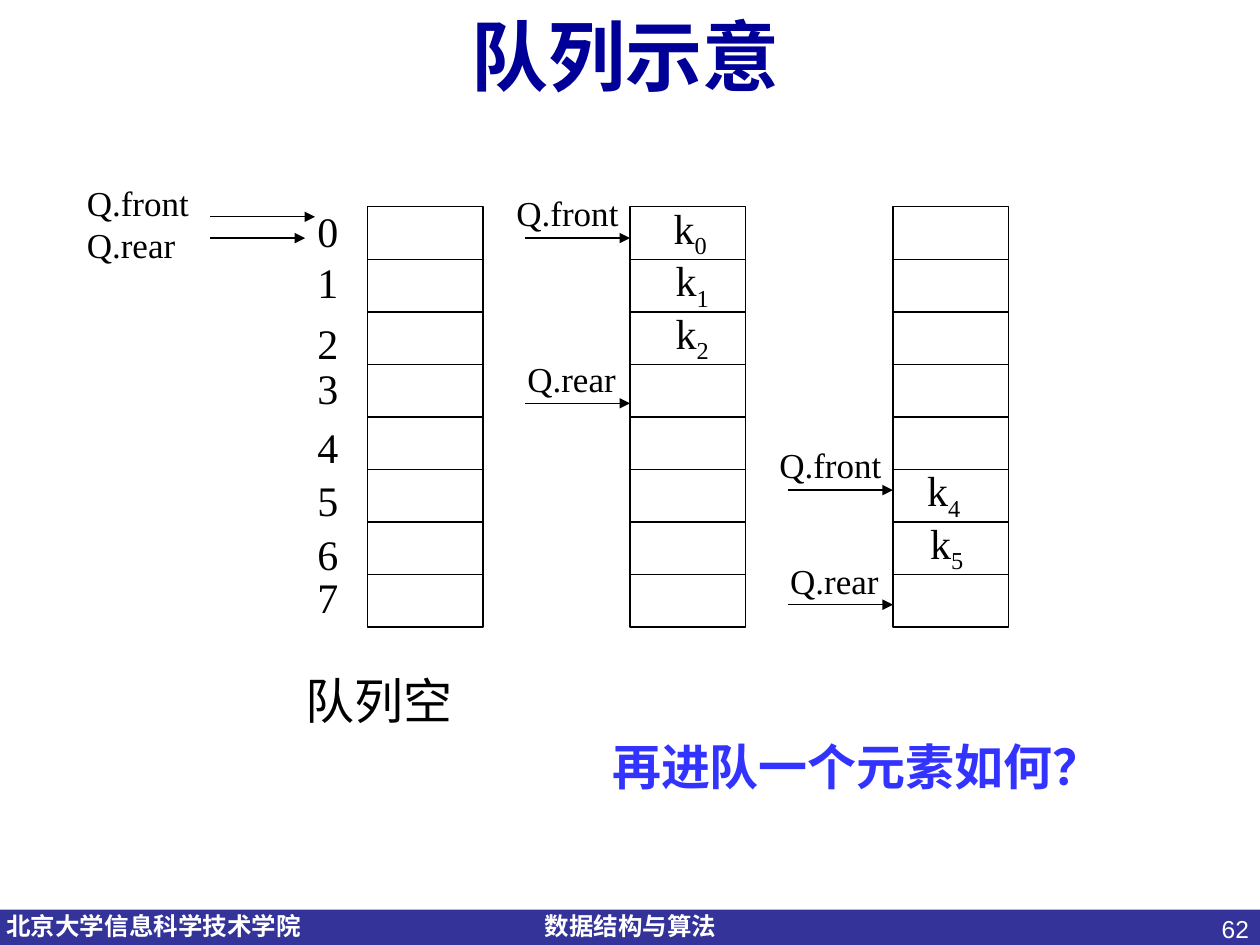
from lxml import etree
from pptx import Presentation
from pptx.dml.color import RGBColor
from pptx.enum import shapes, text
from pptx.oxml import ns
from pptx.util import Cm, Pt

BLACK = RGBColor(0x00, 0x00, 0x00)
WHITE = RGBColor(0xFF, 0xFF, 0xFF)
NAVY = RGBColor(0x00, 0x00, 0x99)
BLUE = RGBColor(0x33, 0x33, 0xFF)
INDIGO = RGBColor(0x33, 0x33, 0x99)

SERIF = "Times New Roman"
SANS = "Arial"
CJK = "Noto Sans CJK SC"

ROWS = 8
QUEUE_LEFTS = (7.41, 12.7, 18)
QUEUE_TOP, QUEUE_WIDTH, QUEUE_HEIGHT = 4.17, 2.33, 8.47
ROW_HEIGHT = QUEUE_HEIGHT / ROWS
INDEX_TOPS = (4.01, 5.05, 6.27, 7.19, 8.38, 9.45, 10.52, 11.4)
LABEL_OFFSETS = {"Q.front": (2.54, 1.07, 2.57), "Q.rear": (2.32, 1.04, 2.29)}


def add_run(paragraph, words, size, color=BLACK, font=SERIF, bold=False):
    run = paragraph.add_run()
    run.text = words
    run.font.size = Pt(size)
    run.font.name = font
    run.font.bold = bold
    run.font.color.rgb = color
    east_asian = etree.SubElement(run.font._element, ns.qn("a:ea"))
    east_asian.set("typeface", CJK)
    return run


def add_label(slide, left, top, width, height, lines, size, wrap=False, **style):
    label = slide.shapes.add_textbox(Cm(left), Cm(top), Cm(width), Cm(height))
    frame = label.text_frame
    frame.word_wrap = wrap
    frame.auto_size = text.MSO_AUTO_SIZE.SHAPE_TO_FIT_TEXT
    for number, words in enumerate(lines):
        paragraph = frame.add_paragraph() if number else frame.paragraphs[0]
        add_run(paragraph, words, size, **style)
    return frame


def add_element(slide, left, top, index):
    frame = add_label(slide, left, top, 1.17, 1.42, ["k"], 24)
    subscript = add_run(frame.paragraphs[0], index, 24)
    subscript.font._element.set("baseline", "-25000")


def add_line(slide, start, end, arrow=False):
    line = slide.shapes.add_connector(
        shapes.MSO_CONNECTOR.STRAIGHT, *(Cm(value) for value in (*start, *end)))
    line.line.color.rgb = BLACK
    line.line.width = Pt(0.75)
    if arrow:
        head = etree.SubElement(line.line._get_or_add_ln(), ns.qn("a:tailEnd"))
        head.set("type", "triangle")
    etree.SubElement(line._element.spPr, ns.qn("a:effectLst"))
    return line


def add_rectangle(slide, left, top, width, height):
    rectangle = slide.shapes.add_shape(
        shapes.MSO_SHAPE.RECTANGLE, Cm(left), Cm(top), Cm(width), Cm(height))
    rectangle.shadow.inherit = False
    return rectangle


def add_queue(slide, left):
    outline = add_rectangle(slide, left, QUEUE_TOP, QUEUE_WIDTH, QUEUE_HEIGHT)
    outline.fill.background()
    outline.line.color.rgb = BLACK
    outline.line.width = Pt(0.75)
    for row in range(1, ROWS):
        y = QUEUE_TOP + row * ROW_HEIGHT
        divider = add_line(slide, (left, y), (left + QUEUE_WIDTH, y))
        if row == ROWS // 2:
            divider.begin_connect(outline, 1)
            divider.end_connect(outline, 3)


def add_pointer(slide, name, queue_left, y):
    across, above, width = LABEL_OFFSETS[name]
    add_label(slide, queue_left - across, y - above, width, 1.11, [name], 20)
    add_line(slide, (queue_left - 2.11, y), (queue_left, y), arrow=True)


def add_footer(slide):
    band = add_rectangle(slide, 0, 18.34, 25.4, 0.71)
    band.fill.solid()
    band.fill.fore_color.rgb = INDIGO
    band.line.fill.background()
    for left, width, words in ((0.13, 6.25, "北京大学信息科学技术学院"),
                               (10.98, 3.8, "数据结构与算法")):
        frame = add_label(slide, left, 18.24, width, 0.86, [words], 14,
                          color=WHITE, font=SANS, bold=True)
        frame.margin_left = 0
    page = add_label(slide, 19.51, 18.31, 5.92, 1.32, ["62"], 14, wrap=True,
                     color=WHITE, font=SANS)
    page.auto_size = text.MSO_AUTO_SIZE.NONE
    page.paragraphs[0].alignment = text.PP_ALIGN.RIGHT


def set_title(slide, words):
    title = slide.shapes.title
    title.left, title.top, title.width, title.height = (
        Cm(1.3), Cm(0.05), Cm(22.61), Cm(2.13))
    frame = title.text_frame
    frame.word_wrap = True
    frame.auto_size = text.MSO_AUTO_SIZE.NONE
    frame.vertical_anchor = text.MSO_ANCHOR.TOP
    paragraph = frame.paragraphs[0]
    paragraph.alignment = text.PP_ALIGN.CENTER
    add_run(paragraph, words, 44, color=NAVY, font=CJK, bold=True)


def main():
    deck = Presentation()
    deck.slide_width, deck.slide_height = Cm(25.4), Cm(19.05)
    slide = deck.slides.add_slide(deck.slide_layouts[5])
    set_title(slide, "队列示意")
    add_footer(slide)

    for left in QUEUE_LEFTS:
        add_queue(slide, left)
    for index, top in enumerate(INDEX_TOPS):
        add_label(slide, 6.15, top, 0.91, 1.27, [str(index)], 24)

    add_label(slide, 1.5, 3.53, 2.57, 1.96, ["Q.front", "Q.rear"], 20)
    add_line(slide, (4.24, 4.37), (6.35, 4.37), arrow=True)
    add_line(slide, (4.24, 4.8), (6.15, 4.8), arrow=True)

    filled, advanced = QUEUE_LEFTS[1:]
    for name, queue_left, y in (("Q.front", filled, 4.8),
                                ("Q.rear", filled, 8.13),
                                ("Q.front", advanced, 9.88),
                                ("Q.rear", advanced, 12.19)):
        add_pointer(slide, name, queue_left, y)
    for left, row, index in ((13.33, 0, "0"), (13.37, 1, "1"), (13.37, 2, "2"),
                             (18.44, 5, "4"), (18.5, 6, "5")):
        add_element(slide, left, QUEUE_TOP - 0.22 + row * ROW_HEIGHT, index)

    add_label(slide, 5.91, 13.39, 3.55, 1.45, ["队列空"], 28)
    add_label(slide, 12.09, 14.73, 11.61, 1.45, ["再进队一个元素如何？"], 28,
              wrap=True, color=BLUE, bold=True)
    deck.save("out.pptx")


if __name__ == "__main__":
    main()
